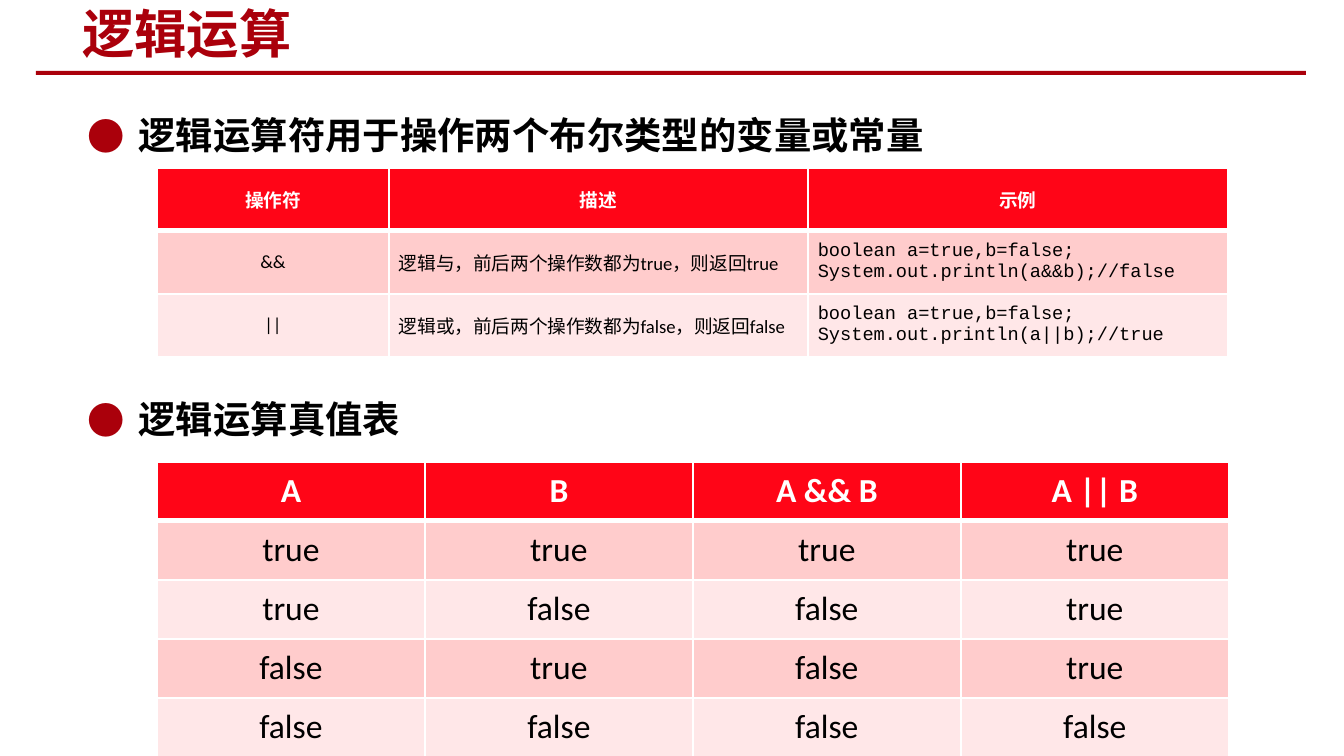
from dataclasses import dataclass

from lxml.etree import SubElement
from pptx import Presentation
from pptx.dml.color import RGBColor
from pptx.enum.shapes import MSO_SHAPE as Shape
from pptx.enum.text import MSO_ANCHOR as Anchor, MSO_AUTO_SIZE as AutoSize, PP_ALIGN as Align
from pptx.oxml.ns import qn
from pptx.util import Emu, Pt

EMU_PER_PX = 914400 / 134.4
CJK, LATIN, CODE = "Noto Sans CJK SC", "Calibri", "Courier New"
CRIMSON, RED, PINK, PALE = "AA000B", "FF0517", "FFCCCC", "FFE7E8"
WHITE, BLACK = "FFFFFF", "000000"


@dataclass(frozen=True)
class Column:
    """Width and body format of one table column."""
    width: int
    font: str = LATIN
    align: Align = Align.CENTER


@dataclass(frozen=True)
class Grid:
    """Position, format and wording of one table."""
    left: int
    top: int
    row_height: int
    size: int
    columns: list[Column]
    rows: list[list[str]]


def px(length: int) -> Emu:
    """Turn pixels into EMU."""
    return Emu(round(length * EMU_PER_PX))


def rgb(code: str) -> RGBColor:
    """Turn a hex string into a colour."""
    return RGBColor.from_string(code)


def place(shape, left: int, top: int, width: int, height: int) -> None:
    """Move and size a shape in pixels."""
    shape.left, shape.top, shape.width, shape.height = map(px, (left, top, width, height))


def write(frame, text: str, *, size: int, color: str = BLACK, font: str = CJK,
          bold: bool = False, align: Align = Align.LEFT) -> None:
    """Fill a text frame with one formatted paragraph per line of text."""
    frame.text = text
    for paragraph in frame.paragraphs:
        paragraph.alignment = align
        for run in paragraph.runs:
            run.font.size, run.font.bold, run.font.name = Pt(size), bold, font
            run.font.color.rgb = rgb(color)
            SubElement(run.font._element, qn("a:ea"), typeface=CJK)


def add_bullet(paragraph, indent: int) -> None:
    """Give a paragraph a hanging round bullet."""
    props = paragraph._p.get_or_add_pPr()
    props.set("marL", str(px(indent)))
    props.set("indent", str(-px(indent)))
    SubElement(SubElement(props, qn("a:buClr")), qn("a:srgbClr"), val=CRIMSON)
    SubElement(props, qn("a:buFont"), typeface=CJK)
    SubElement(props, qn("a:buChar"), char="●")


def add_borders(cell, top: int, bottom: int) -> None:
    """Draw white borders around a cell, with widths in points."""
    for side, width in (("L", 1), ("R", 1), ("T", top), ("B", bottom)):
        line = SubElement(cell._tc.get_or_add_tcPr(), qn(f"a:ln{side}"), w=str(Pt(width)))
        SubElement(SubElement(line, qn("a:solidFill")), qn("a:srgbClr"), val=WHITE)


def add_grid(slide, grid: Grid) -> None:
    """Draw a table with a red header and banded rows."""
    row_count = len(grid.rows)
    table = slide.shapes.add_table(
        row_count, len(grid.columns), px(grid.left), px(grid.top),
        px(sum(column.width for column in grid.columns)), px(grid.row_height * row_count)).table
    for target, column in zip(table.columns, grid.columns):
        target.width = px(column.width)
    for r, words in enumerate(grid.rows):
        table.rows[r].height = px(grid.row_height)
        header = r == 0
        for c, (column, word) in enumerate(zip(grid.columns, words)):
            cell = table.cell(r, c)
            add_borders(cell, top=3 if r == 1 else 1, bottom=3 if header else 1)
            cell.fill.solid()
            cell.fill.fore_color.rgb = rgb(RED if header else PINK if r % 2 else PALE)
            cell.vertical_anchor = Anchor.MIDDLE
            cell.margin_left = cell.margin_right = px(10)
            cell.margin_top = cell.margin_bottom = 0
            write(cell.text_frame, word, size=grid.size, bold=header,
                  color=WHITE if header else BLACK,
                  font=LATIN if header else column.font,
                  align=Align.CENTER if header else column.align)


OPERATORS = Grid(157, 168, 63, 10, [
    Column(232), Column(419, align=Align.JUSTIFY), Column(420, CODE, Align.JUSTIFY),
], [
    ["操作符", "描述", "示例"],
    ["&&", "逻辑与，前后两个操作数都为true，则返回true",
     "boolean a=true,b=false;\nSystem.out.println(a&&b);//false"],
    ["||", "逻辑或，前后两个操作数都为false，则返回false",
     "boolean a=true,b=false;\nSystem.out.println(a||b);//true"],
])
TRUTH = Grid(157, 462, 59, 18, [Column(268)] * 4, [
    ["A", "B", "A && B", "A || B"],
    ["true", "true", "true", "true"],
    ["true", "false", "false", "true"],
    ["false", "true", "false", "true"],
    ["false", "false", "false", "false"],
])


def main() -> None:
    """Build the slide and save it."""
    deck = Presentation()
    deck.slide_width, deck.slide_height = px(1344), px(756)
    slide = deck.slides.add_slide(deck.slide_layouts[1])
    title, body = slide.placeholders

    rule = slide.shapes.add_shape(Shape.RECTANGLE, px(36), px(71), px(1270), px(4))
    rule.shadow.inherit = False
    rule.fill.solid()
    rule.fill.fore_color.rgb = rgb(CRIMSON)
    rule.line.fill.background()

    place(title, 69, 3, 712, 60)
    title.text_frame.vertical_anchor = Anchor.MIDDLE
    title.text_frame.auto_size = AutoSize.NONE
    write(title.text_frame, "逻辑运算", size=28, color=CRIMSON, bold=True)

    place(body, 74, 83, 1228, 672)
    body.text_frame.auto_size = AutoSize.NONE
    write(body.text_frame, "逻辑运算符用于操作两个布尔类型的变量或常量\n逻辑运算真值表", size=20, bold=True)
    for paragraph, gap in zip(body.text_frame.paragraphs, (0, 116)):
        add_bullet(paragraph, 51)
        paragraph.line_spacing = 1.5
        paragraph.space_before = Pt(gap)

    add_grid(slide, OPERATORS)
    add_grid(slide, TRUTH)
    deck.save("out.pptx")


if __name__ == "__main__":
    main()
